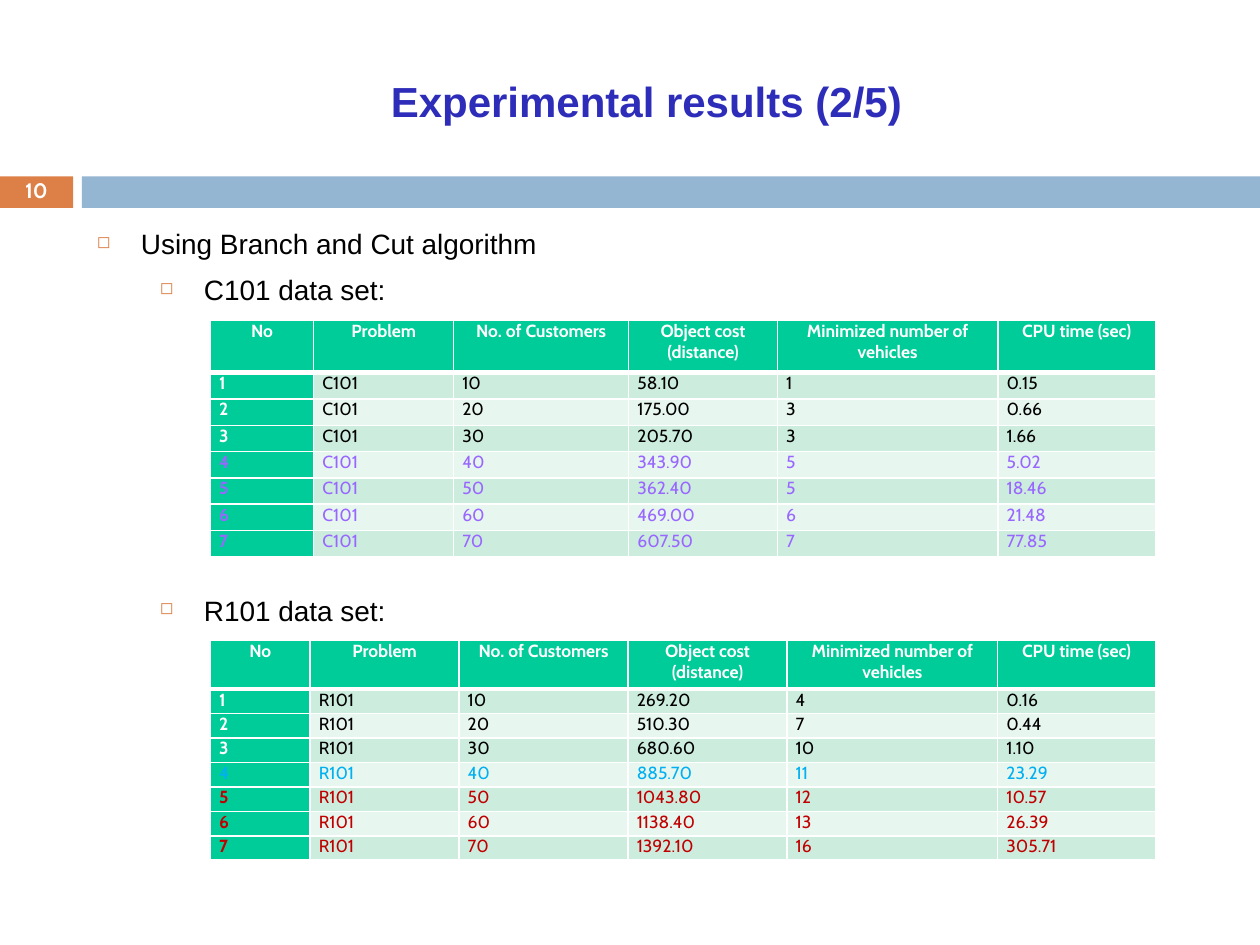
"""Build the slide of Branch and Cut results for the C101 and R101 data sets."""
import dataclasses

import lxml.etree
import pptx
import pptx.dml.color
import pptx.enum.shapes
import pptx.enum.text
import pptx.oxml.ns
import pptx.util


@dataclasses.dataclass(frozen=True)
class Theme:
    heading_font: str = "Arial"
    table_font: str = "Cabin"
    title_size: int = 24
    outline_size: int = 16
    number_size: int = 12
    table_size: int = 10
    title: str = "2D2DB9"
    accent: str = "DD8047"
    band: str = "94B6D2"
    header: str = "00CC99"
    stripes: tuple = ("CCECDE", "E7F6EF")
    white: str = "FFFFFF"
    black: str = "000000"
    violet: str = "9966FF"
    sky: str = "00B0F0"
    red: str = "C00000"


THEME = Theme()
ALIGN = pptx.enum.text.PP_ALIGN
MIDDLE = pptx.enum.text.MSO_ANCHOR.MIDDLE
SLIDE_COLUMNS, SLIDE_ROWS = 100, 75
UNIT = pptx.util.Inches(0.1)

TITLE = "Experimental results (2/5)"
PAGE_NUMBER = "10"
OUTLINE = [
    ("Using Branch and Cut algorithm", 0, 7),
    ("C101 data set:", 1, 7),
    ("R101 data set:", 1, 164),
]
HEADINGS = ["No", "Problem", "No. of Customers", "Object cost (distance)",
            "Minimized number of vehicles", "CPU time (sec)"]
DATA_SETS = [
    {
        "problem": "C101",
        "area": (16.7, 25.4, 75, 18.8),
        "column_shares": (0.82, 1.11, 1.39, 1.18, 1.75, 1.25),
        "highlights": [None] * 3 + [THEME.violet] * 4,
        "results": [
            ("10", "58.10", "1", "0.15"),
            ("20", "175.00", "3", "0.66"),
            ("30", "205.70", "3", "1.66"),
            ("40", "343.90", "5", "5.02"),
            ("50", "362.40", "5", "18.46"),
            ("60", "469.00", "6", "21.48"),
            ("70", "607.50", "7", "77.85"),
        ],
    },
    {
        "problem": "R101",
        "area": (16.7, 50.8, 75, 17.5),
        "column_shares": (0.79, 1.18, 1.34, 1.26, 1.67, 1.25),
        "highlights": [None] * 3 + [THEME.sky] + [THEME.red] * 3,
        "results": [
            ("10", "269.20", "4", "0.16"),
            ("20", "510.30", "7", "0.44"),
            ("30", "680.60", "10", "1.10"),
            ("40", "885.70", "11", "23.29"),
            ("50", "1043.80", "12", "10.57"),
            ("60", "1138.40", "13", "26.39"),
            ("70", "1392.10", "16", "305.71"),
        ],
    },
]


def rgb(value):
    return pptx.dml.color.RGBColor.from_string(value)


def place(area):
    return [round(length * UNIT) for length in area]


def add_child(parent, tag, **attributes):
    return lxml.etree.SubElement(parent, pptx.oxml.ns.qn(tag), attributes)


def style(paragraph, font, size, color, bold=False, align=ALIGN.LEFT):
    paragraph.alignment = align
    for run in paragraph.runs:
        run.font.name = font
        run.font.size = pptx.util.Pt(size)
        run.font.bold = bold
        run.font.color.rgb = rgb(color)


def add_bar(slide, area, color):
    bar = slide.shapes.add_shape(pptx.enum.shapes.MSO_SHAPE.RECTANGLE, *place(area))
    bar.shadow.inherit = False
    bar.fill.solid()
    bar.fill.fore_color.rgb = rgb(color)
    bar.line.fill.background()


def add_text(slide, area, text):
    frame = slide.shapes.add_textbox(*place(area)).text_frame
    frame.word_wrap = True
    frame.text = text
    return frame


def add_outline(slide, area):
    frame = add_text(slide, area, "\n".join(text for text, _, _ in OUTLINE))
    for paragraph, (_, level, gap) in zip(frame.paragraphs, OUTLINE):
        style(paragraph, THEME.heading_font, THEME.outline_size, THEME.black)
        paragraph.level = level
        paragraph.space_before = pptx.util.Pt(gap)
        properties = paragraph._p.get_or_add_pPr()
        properties.set("marL", str(pptx.util.Inches(0.35 + 0.5 * level)))
        properties.set("indent", str(pptx.util.Inches(-0.35)))
        bullet_color = add_child(properties, "a:buClr")
        add_child(bullet_color, "a:srgbClr", val=THEME.accent)
        add_child(properties, "a:buSzPct", val="60000")
        add_child(properties, "a:buChar", char="◻")


def add_borders(cell, top, bottom):
    properties = cell._tc.get_or_add_tcPr()
    for side, width in (("L", 1), ("R", 1), ("T", top), ("B", bottom)):
        border = add_child(properties, f"a:ln{side}", w=str(pptx.util.Pt(width)))
        fill = add_child(border, "a:solidFill")
        add_child(fill, "a:srgbClr", val=THEME.white)


def fill_cell(cell, text, row, column, highlight):
    is_header = row == 0
    is_key = is_header or column == 0
    cell.margin_left = cell.margin_right = pptx.util.Inches(0.07)
    cell.margin_top = cell.margin_bottom = 0
    add_borders(cell, 3 if row == 1 else 1, 3 if is_header else 1)
    cell.fill.solid()
    cell.fill.fore_color.rgb = rgb(THEME.header if is_key else THEME.stripes[(row - 1) % 2])
    cell.text_frame.text = text
    paragraph = cell.text_frame.paragraphs[0]
    paragraph.line_spacing = 1.01
    style(paragraph, THEME.table_font, THEME.table_size,
          highlight or (THEME.white if is_key else THEME.black), is_key,
          ALIGN.CENTER if is_header else ALIGN.JUSTIFY)


def add_results(slide, data_set):
    lines = [HEADINGS] + [
        [str(number), data_set["problem"], *result]
        for number, result in enumerate(data_set["results"], 1)
    ]
    area = place(data_set["area"])
    table = slide.shapes.add_table(len(lines), len(HEADINGS), *area).table
    shares = data_set["column_shares"]
    for column, share in zip(table.columns, shares):
        column.width = round(area[2] * share / sum(shares))
    row_height = area[3] / (len(lines) + 1)
    highlights = [None] + data_set["highlights"]
    for row, (line, highlight) in enumerate(zip(lines, highlights)):
        table.rows[row].height = round(row_height * (2 if row == 0 else 1))
        for column, text in enumerate(line):
            fill_cell(table.cell(row, column), text, row, column, highlight)


def main():
    deck = pptx.Presentation()
    deck.slide_width, deck.slide_height = SLIDE_COLUMNS * UNIT, SLIDE_ROWS * UNIT
    slide = deck.slides.add_slide(deck.slide_layouts[6])
    add_bar(slide, (0, 14, 5.8, 2.5), THEME.accent)
    add_bar(slide, (6.5, 14, 93.5, 2.5), THEME.band)

    title = add_text(slide, (6.7, 2.5, 89.2, 10.9), TITLE)
    title.vertical_anchor = MIDDLE
    style(title.paragraphs[0], THEME.heading_font, THEME.title_size, THEME.title,
          True, ALIGN.CENTER)

    number = add_text(slide, (0, 13.9, 5.8, 2.7), PAGE_NUMBER)
    number.vertical_anchor = MIDDLE
    number.paragraphs[0].line_spacing = 0.8
    style(number.paragraphs[0], THEME.table_font, THEME.number_size, THEME.white,
          True, ALIGN.CENTER)

    add_outline(slide, (6.7, 17.5, 89.1, 51.7))
    for data_set in DATA_SETS:
        add_results(slide, data_set)
    deck.save("out.pptx")


if __name__ == "__main__":
    main()
